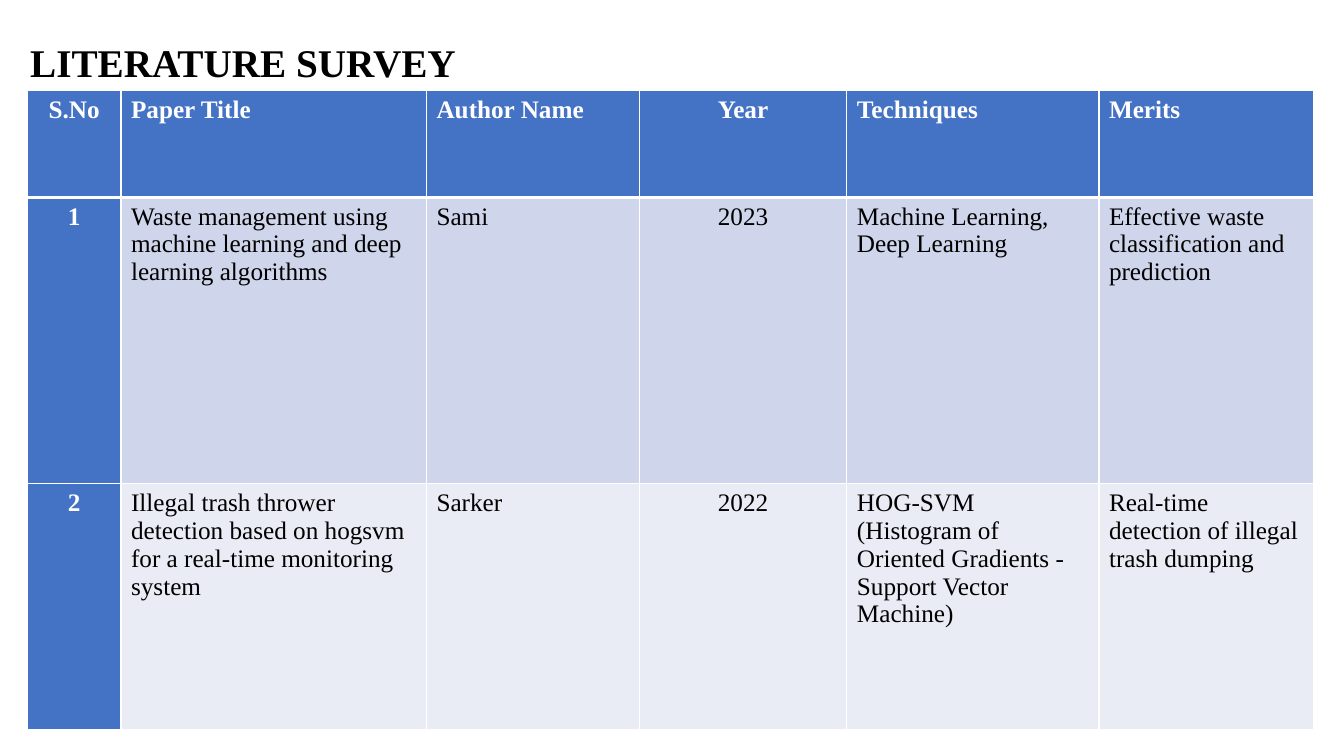
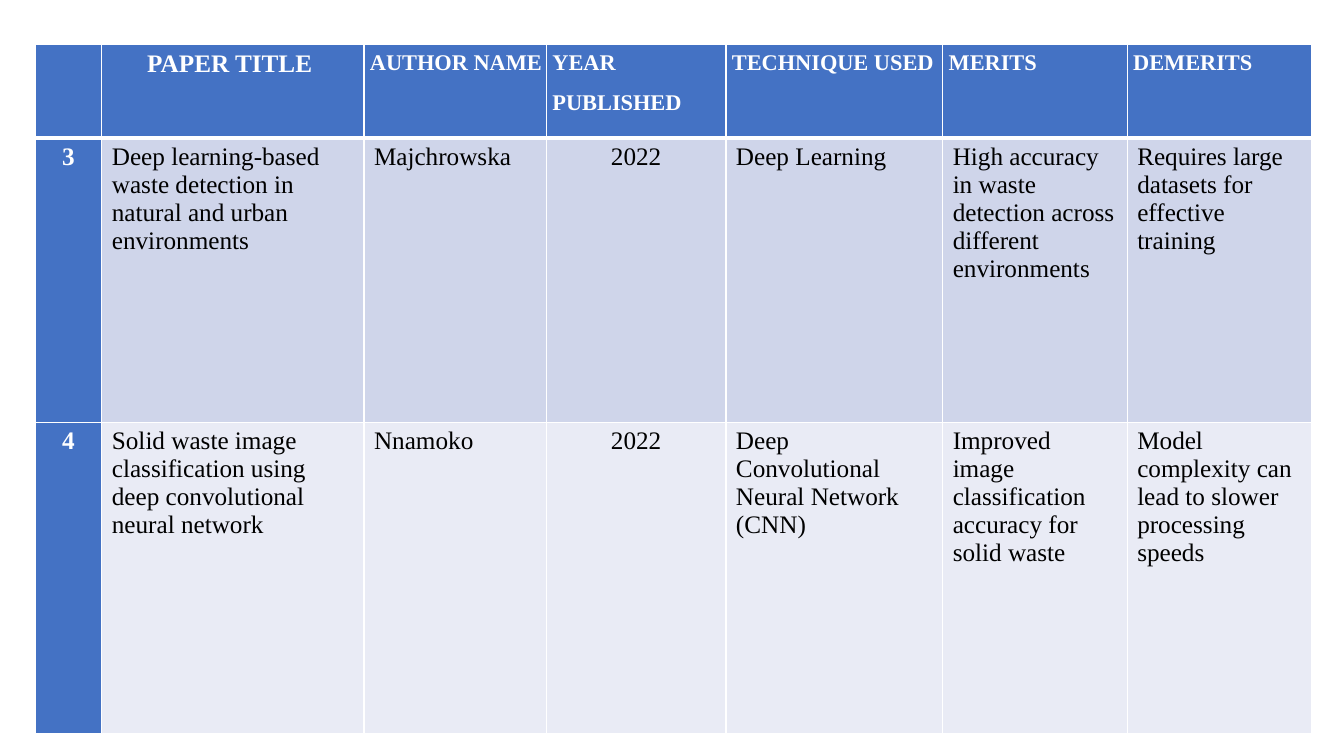
from dataclasses import dataclass

from lxml import etree
from pptx import Presentation
from pptx.dml.color import RGBColor
from pptx.enum.text import MSO_ANCHOR, MSO_AUTO_SIZE, PP_ALIGN
from pptx.oxml.ns import qn
from pptx.util import Emu, Pt

LEFT, CENTER = PP_ALIGN.LEFT, PP_ALIGN.CENTER
TOP = MSO_ANCHOR.TOP
NO_AUTOFIT = MSO_AUTO_SIZE.NONE
TITLE_ONLY, BLANK = 5, 6  # layouts of the default template
PX = 9144  # 100 px to the inch


@dataclass(frozen=True)
class Theme:
    font: str = "Times New Roman"
    accent: str = "4472C4"
    bands: tuple = ("CFD5EA", "E9EBF5")
    light: str = "FFFFFF"
    dark: str = "000000"
    title_size: int = 28
    text_size: int = 18
    small_size: int = 16
    rule: int = 1
    header_rule: int = 3


THEME = Theme()

# Content
TITLE = {"text": "LITERATURE SURVEY", "box": (12, 33, 753, 57)}

COMPACT = {"size": THEME.small_size, "line_spacing": 1.07, "space_after": 9.8}

SURVEYS = [
    {
        "title": TITLE,
        "origin": (27, 90),
        "columns": (93, 303, 211, 206, 250, 213),
        "rows": (106, 284, 244),
        "centered": (0, 3),
        "header": ["S.No", "Paper Title", "Author Name", "Year", "Techniques", "Merits"],
        "papers": [
            ["1", "Waste management using machine learning and deep learning algorithms",
             "Sami", "2023", "Machine Learning, Deep Learning",
             "Effective waste classification and prediction"],
            ["2", "Illegal trash thrower detection based on hogsvm for a real-time "
             "monitoring system", "Sarker", "2022",
             "HOG-SVM (Histogram of Oriented Gradients - Support Vector Machine)",
             "Real-time detection of illegal trash dumping"],
        ],
    },
    {
        "origin": (35, 44),
        "columns": (66, 260, 181, 178, 215, 183, 183),
        "rows": (93, 282, 309),
        "centered": (0, 3),
        "header": ["", "PAPER TITLE", "AUTHOR NAME", "YEAR\nPUBLISHED",
                   "TECHNIQUE USED", "MERITS", "DEMERITS"],
        "header_format": COMPACT,
        "header_insets": (6, 4, 2, 0),
        "header_overrides": {1: {"size": THEME.text_size, "indent": 39}},
        "papers": [
            ["3", "Deep learning-based waste detection in natural and urban environments",
             "Majchrowska", "2022", "Deep Learning",
             "High accuracy in waste detection across different environments",
             "Requires large datasets for effective training"],
            ["4", "Solid waste image classification using deep convolutional neural network",
             "Nnamoko", "2022", "Deep Convolutional Neural Network (CNN)",
             "Improved image classification accuracy for solid waste",
             "Model complexity can lead to slower processing speeds"],
        ],
    },
]


def px(length):
    return Emu(length * PX)


def write_text(frame, text, *, size=THEME.text_size, color=THEME.dark, bold=False,
               align=LEFT, line_spacing=1.0, space_after=0, indent=0):
    """Fill a text frame, one paragraph for each line of text."""
    frame.text = text
    for para in frame.paragraphs:
        para.alignment = align
        para.line_spacing = line_spacing
        para.space_before, para.space_after = Pt(0), Pt(space_after)
        if indent:
            para._p.get_or_add_pPr().set("marL", str(px(indent)))
        for span in para.runs:
            span.font.name = THEME.font
            span.font.size = Pt(size)
            span.font.bold = bold
            span.font.color.rgb = RGBColor.from_string(color)


def set_borders(cell, **widths):
    """Draw light borders; they must precede the fill in the cell properties."""
    properties = cell._tc.get_or_add_tcPr()
    for position, side in enumerate("LRTB"):
        width = widths.get(side, THEME.rule)
        line = etree.Element(qn(f"a:ln{side}"), w=str(Pt(width)))
        fill = etree.SubElement(line, qn("a:solidFill"))
        etree.SubElement(fill, qn("a:srgbClr"), val=THEME.light)
        properties.insert(position, line)


def set_insets(target, left, top, right, bottom):
    target.margin_left, target.margin_top = px(left), px(top)
    target.margin_right, target.margin_bottom = px(right), px(bottom)


def add_title(page, text, box):
    title = page.shapes.title
    title.left, title.top, title.width, title.height = map(px, box)
    frame = title.text_frame
    frame.auto_size = NO_AUTOFIT
    frame.vertical_anchor = TOP
    set_insets(frame, 18, 5, 10, 5)
    write_text(frame, text, size=THEME.title_size, bold=True)


def add_survey_table(page, survey):
    columns, rows = survey["columns"], survey["rows"]
    extent = (*survey["origin"], sum(columns), sum(rows))
    table = page.shapes.add_table(len(rows), len(columns), *map(px, extent)).table
    table.horz_banding = False
    for column, width in zip(table.columns, columns):
        column.width = px(width)
    for row, height in zip(table.rows, rows):
        row.height = px(height)

    for r, texts in enumerate([survey["header"], *survey["papers"]]):
        for c, text in enumerate(texts):
            cell = table.cell(r, c)
            is_header = r == 0
            strong = is_header or c == 0
            style = {"bold": strong, "color": THEME.light if strong else THEME.dark}
            if c in survey["centered"]:
                style["align"] = CENTER
            if is_header and "header_format" in survey:
                style.update(survey["header_format"], align=LEFT)
                style.update(survey["header_overrides"].get(c, {}))
                set_insets(cell, *survey["header_insets"])
            write_text(cell.text_frame, text, **style)

            # Fill and borders
            fill = THEME.accent if strong else THEME.bands[(r - 1) % 2]
            cell.fill.solid()
            cell.fill.fore_color.rgb = RGBColor.from_string(fill)
            header_edge = {0: "B", 1: "T"}.get(r)
            set_borders(cell, **({header_edge: THEME.header_rule} if header_edge else {}))


def main():
    deck = Presentation()
    deck.slide_width, deck.slide_height = px(1333), px(750)
    for survey in SURVEYS:
        title = survey.get("title")
        page = deck.slides.add_slide(deck.slide_layouts[TITLE_ONLY if title else BLANK])
        add_survey_table(page, survey)
        if title:
            add_title(page, **title)
    deck.save("out.pptx")


if __name__ == "__main__":
    main()
